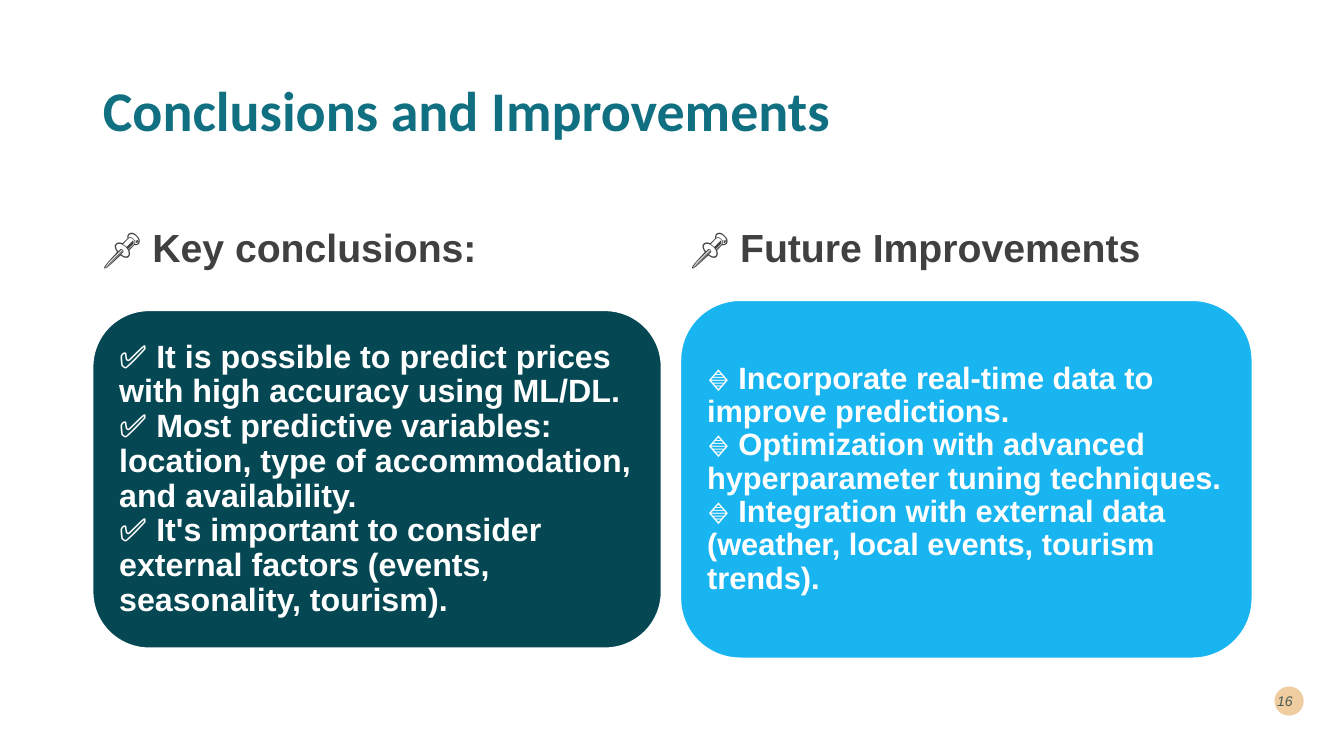
from lxml import etree
from pptx import Presentation
from pptx.dml.color import RGBColor
from pptx.enum import shapes, text
from pptx.oxml.ns import qn
from pptx.util import Inches, Pt

TEAL = RGBColor(0x10, 0x70, 0x82)
GRAY = RGBColor(0x40, 0x40, 0x40)
DARK = RGBColor(0x05, 0x48, 0x54)
BLUE = RGBColor(0x00, 0xAE, 0xEF)
SAND = RGBColor(0xF0, 0xCD, 0xA1)
INK = RGBColor(0x00, 0x29, 0x2E)
WHITE = RGBColor(0xFF, 0xFF, 0xFF)


def write(sp, words, color, anchor, inset=0.1, spacing=0.9,
          align=text.PP_ALIGN.LEFT, **font):
    tf = sp.text_frame
    frame = {"word_wrap": True, "auto_size": text.MSO_AUTO_SIZE.NONE,
             "vertical_anchor": anchor, "margin_left": Inches(inset),
             "margin_right": Inches(inset)}
    for key, value in frame.items():
        setattr(tf, key, value)
    p = tf.paragraphs[0]
    p.text = words
    p.alignment = align
    p.line_spacing = spacing
    for r in p.runs:
        r.font.color.rgb = color
        for key, value in font.items():
            setattr(r.font, key, value)
    return p


def set_alpha(parent, percent):
    clr = next(parent.iter(qn("a:srgbClr")))
    etree.SubElement(clr, qn("a:alpha")).set("val", str(percent * 1000))


prs = Presentation()
prs.slide_width, prs.slide_height = Inches(13.33), Inches(7.5)
s = prs.slides.add_slide(prs.slide_layouts[5])
MIDDLE, BOTTOM = text.MSO_ANCHOR.MIDDLE, text.MSO_ANCHOR.BOTTOM

title = s.shapes.title
title.left, title.top = Inches(0.92), Inches(0.4)
title.width, title.height = Inches(11.5), Inches(1.45)
write(title, "Conclusions and Improvements", TEAL, MIDDLE,
      name="Calibri", size=Pt(40), bold=True)

columns = [
    (0.92, 5.64, "📌 Key conclusions:", 3.08, 3.35, DARK, 100, 23, 0.1, "✅", [
        "It is possible to predict prices with high accuracy using ML/DL.",
        "Most predictive variables: location, type of accommodation, and availability.",
        "It's important to consider external factors (events, seasonality, tourism).",
    ]),
    (6.75, 5.67, "📌 Future Improvements", 2.98, 3.55, BLUE, 90, 22, 0.09, "🔹", [
        "Incorporate real-time data to improve predictions.",
        "Optimization with advanced hyperparameter tuning techniques.",
        "Integration with external data (weather, local events, tourism trends).",
    ]),
]
for left, width, heading, top, height, fill, opacity, size, inset, mark, points in columns:
    head = s.shapes.add_textbox(Inches(left), Inches(1.84), Inches(width), Inches(0.9))
    write(head, heading, GRAY, BOTTOM, name="Arial", size=Pt(28), bold=True)

    card = s.shapes.add_shape(shapes.MSO_SHAPE.ROUNDED_RECTANGLE, Inches(left),
                              Inches(top), Inches(width), Inches(height))
    card.shadow.inherit = False
    card.fill.solid()
    card.fill.fore_color.rgb = fill
    if opacity < 100:
        set_alpha(card.fill._xPr, opacity)
    card.line.color.rgb = WHITE
    card.line.width = Pt(1)
    write(card, "\v".join(f"{mark} {point}" for point in points), WHITE, MIDDLE,
          inset, name="Arial", size=Pt(size), bold=True)

badge = s.shapes.add_shape(shapes.MSO_SHAPE.OVAL, Inches(12.64), Inches(6.81),
                           Inches(0.29), Inches(0.29))
badge.shadow.inherit = False
badge.fill.solid()
badge.fill.fore_color.rgb = SAND
badge.line.fill.background()

number = s.shapes.add_textbox(Inches(12.53), Inches(6.75), Inches(0.39), Inches(0.4))
p = write(number, "16", INK, MIDDLE, spacing=1.0, align=text.PP_ALIGN.RIGHT,
          name="Arial", size=Pt(10), italic=True)
set_alpha(p.runs[0].font._element, 70)

prs.save("out.pptx")
